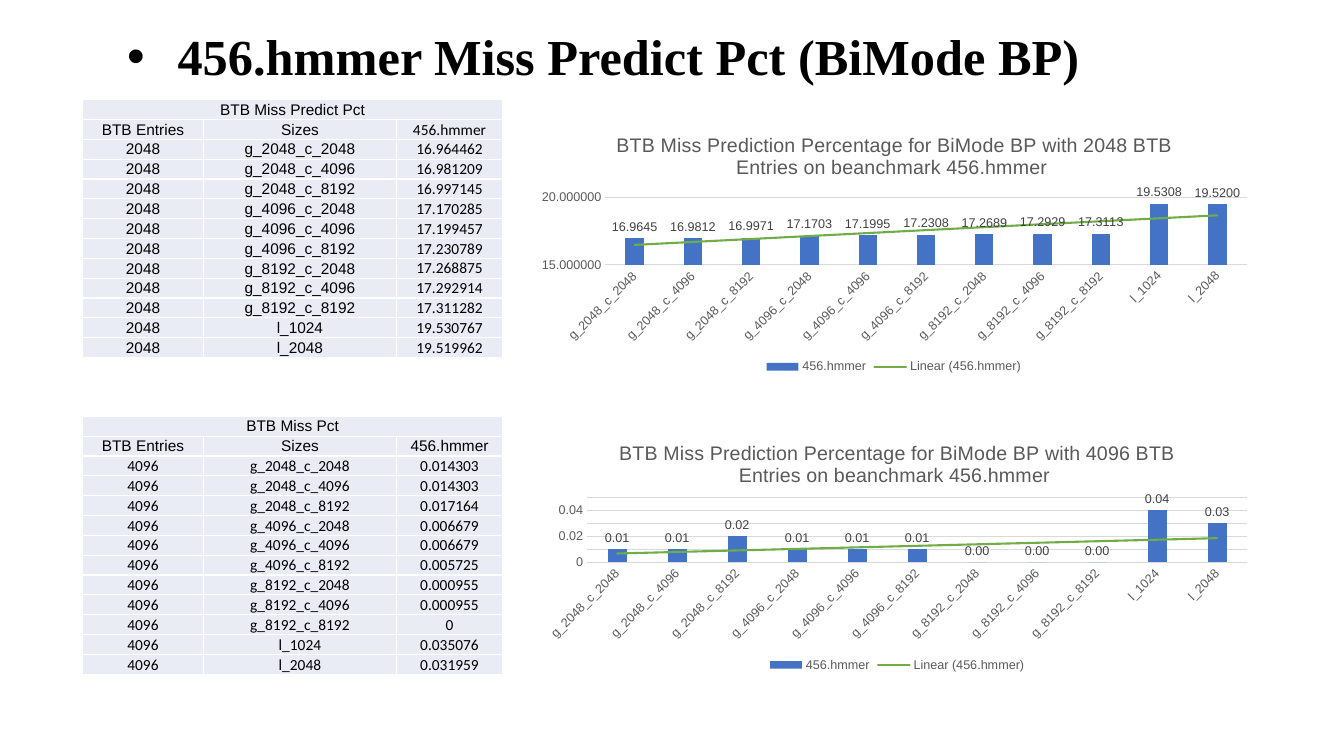
from dataclasses import dataclass

from pptx import Presentation, oxml
from pptx import util as u
from pptx.chart.chart import Chart
from pptx.chart.data import CategoryChartData
from pptx.dml import color
from pptx.enum import chart as ch
from pptx.enum import text as tx
from pptx.oxml.ns import nsdecls

BLACK, GREY, LABEL_GREY, GRID_GREY = "000000", "595959", "404040", "D9D9D9"
BAR_BLUE, TREND_GREEN, CELL_FILL, WHITE = "4472C4", "70AD47", "E9EBF5", "FFFFFF"
BENCHMARK = "456.hmmer"
SIZES = [f"g_{g}_c_{c}" for g in (2048, 4096, 8192) for c in (2048, 4096, 8192)]
SIZES += ["l_1024", "l_2048"]
COLUMN_WIDTHS = (3.05, 4.86, 2.68)
ROW_HEIGHT = 0.5


@dataclass
class Box:
    left: float
    top: float
    width: float
    height: float

    def cm(self) -> tuple:
        return tuple(u.Cm(v) for v in (self.left, self.top, self.width, self.height))


@dataclass
class Experiment:
    """One BTB size: its table of miss percentages and the chart beside it."""
    entries: int
    heading: str
    misses: list[float]
    table_top: float
    header_fonts: tuple[str, str, str]
    body_fonts: tuple[str, str, str]
    chart_box: Box
    plot_box: Box  # percent of the chart
    title_corner: tuple[float, float]  # percent of the chart
    axis_range: tuple[float, float, float]  # minimum, maximum, step
    axis_format: str
    decimals: int  # of the chart values


EXPERIMENTS = [
    Experiment(
        2048, "BTB Miss Predict Pct",
        [16.964462, 16.981209, 16.997145, 17.170285, 17.199457, 17.230789,
         17.268875, 17.292914, 17.311282, 19.530767, 19.519962],
        2.51, ("Arial", "Arial", "Calibri"), ("Arial", "Arial", "Calibri"),
        Box(13.28, 3, 18.49, 6.53), Box(10.7, 30.4, 87.4, 25.9), (11.7, 3.8),
        (15, 20, 5), "0.000000", 4),
    Experiment(
        4096, "BTB Miss Pct",
        [0.014303, 0.014303, 0.017164, 0.006679, 0.006679, 0.005725,
         0.000955, 0.000955, 0, 0.035076, 0.031959],
        10.49, ("Arial",) * 3, ("Calibri",) * 3,
        Box(13.44, 10.74, 18.34, 6.3), Box(7.4, 28.5, 90.7, 26), (11.3, 4.3),
        (0, 0.05, 0.01), "General", 2),
]


def rgb(value: str) -> color.RGBColor:
    return color.RGBColor.from_string(value)


def style_font(font, name: str, size: float, hex_color: str, bold: bool = False) -> None:
    font.name, font.size, font.bold = name, u.Pt(size), bold
    font.color.rgb = rgb(hex_color)


def style_line(line, hex_color: str, width: float) -> None:
    line.color.rgb = rgb(hex_color)
    line.width = u.Pt(width)


def add_title(slide, wording: str) -> None:
    title = slide.shapes.title
    title.left, title.top, title.width, title.height = Box(2.95, 0.48, 24.69, 1.83).cm()
    frame = title.text_frame
    frame.text = wording
    frame.auto_size = tx.MSO_AUTO_SIZE.NONE
    frame.vertical_anchor = tx.MSO_ANCHOR.BOTTOM
    paragraph = frame.paragraphs[0]
    paragraph.alignment = tx.PP_ALIGN.LEFT
    paragraph.line_spacing = 0.9
    style_font(paragraph.runs[0].font, "Times New Roman", 36, BLACK, True)
    # Bullet with a hanging indent
    properties = paragraph._p.get_or_add_pPr()
    properties.set("marL", str(u.Cm(1.27)))
    properties.set("indent", str(-u.Cm(1.27)))
    for bullet in ('buFont {} typeface="Arial"', 'buChar {} char="•"'):
        properties.append(oxml.parse_xml(f"<a:{bullet.format(nsdecls('a'))}/>"))


def fill_cell(cell, wording: str, font_name: str) -> None:
    cell.text_frame.text = wording
    cell.vertical_anchor = tx.MSO_ANCHOR.MIDDLE
    cell.margin_left = cell.margin_right = cell.margin_top = u.Cm(0.02)
    cell.margin_bottom = 0
    paragraph = cell.text_frame.paragraphs[0]
    paragraph.alignment = tx.PP_ALIGN.CENTER
    style_font(paragraph.font, font_name, 11, BLACK)
    for run in paragraph.runs:
        style_font(run.font, font_name, 11, BLACK)
    # Borders come before the fill
    properties = cell._tc.get_or_add_tcPr()
    for side in "LRTB":
        properties.append(oxml.parse_xml(
            f'<a:ln{side} {nsdecls("a")} w="{u.Pt(1)}"><a:solidFill>'
            f'<a:srgbClr val="{WHITE}"/></a:solidFill></a:ln{side}>'))
    cell.fill.solid()
    cell.fill.fore_color.rgb = rgb(CELL_FILL)


def add_miss_table(slide, run: Experiment) -> None:
    rows = [(run.heading, "", ""), ("BTB Entries", "Sizes", BENCHMARK)]
    rows += [(str(run.entries), size, str(miss)) for size, miss in zip(SIZES, run.misses)]
    box = Box(2.08, run.table_top, sum(COLUMN_WIDTHS), ROW_HEIGHT * len(rows))
    table = slide.shapes.add_table(len(rows), len(COLUMN_WIDTHS), *box.cm()).table
    for column, width in zip(table.columns, COLUMN_WIDTHS):
        column.width = u.Cm(width)
    for r, row in enumerate(rows):
        table.rows[r].height = u.Cm(ROW_HEIGHT)
        fonts = run.header_fonts if r < 2 else run.body_fonts
        for c, wording in enumerate(row):
            fill_cell(table.cell(r, c), wording, fonts[c])
    table.cell(0, 0).merge(table.cell(0, 2))


def manual_layout(percents: dict, target: str = ""):
    inner = f'<c:layoutTarget val="{target}"/>' if target else ""
    inner += "".join(f'<c:{key}Mode val="edge"/>' for key in "xy")
    inner += "".join(f'<c:{key} val="{value / 100:.3f}"/>' for key, value in percents.items())
    return oxml.parse_xml(f'<c:layout {nsdecls("c")}><c:manualLayout>{inner}'
                          '</c:manualLayout></c:layout>')


def place_chart_parts(chart: Chart, run: Experiment) -> None:
    root = chart.element
    for layout in root.xpath(".//c:title/c:layout | .//c:plotArea/c:layout"):
        layout.getparent().remove(layout)
    plot = run.plot_box
    root.xpath(".//c:plotArea")[0].insert(0, manual_layout(
        {"x": plot.left, "y": plot.top, "w": plot.width, "h": plot.height}, "inner"))
    x, y = run.title_corner
    root.xpath("./c:chart/c:title/c:tx")[0].addnext(manual_layout({"x": x, "y": y}))
    root.xpath(".//c:catAx/c:txPr/a:bodyPr")[0].set("rot", str(-45 * 60000))


def add_trend(chart: Chart) -> None:
    chart.element.xpath(".//c:ser/c:cat")[0].addprevious(oxml.parse_xml(
        f'<c:trendline {nsdecls("c", "a")}><c:spPr><a:ln w="{u.Pt(1.5)}" cap="rnd">'
        f'<a:solidFill><a:srgbClr val="{TREND_GREEN}"/></a:solidFill></a:ln></c:spPr>'
        '<c:trendlineType val="linear"/><c:dispRSqr val="0"/><c:dispEq val="0"/>'
        '</c:trendline>'))


def add_miss_chart(slide, run: Experiment) -> None:
    data = CategoryChartData()
    data.categories = SIZES
    data.add_series(BENCHMARK, [round(miss, run.decimals) for miss in run.misses])
    chart = slide.shapes.add_chart(
        ch.XL_CHART_TYPE.COLUMN_CLUSTERED, *run.chart_box.cm(), data).chart
    style_font(chart.font, "Arial", 10, BLACK)

    # Title and legend
    heading = chart.chart_title.text_frame
    heading.text = (f"BTB Miss Prediction Percentage for BiMode BP with {run.entries} "
                    f"BTB Entries on beanchmark {BENCHMARK} ")
    style_font(heading.paragraphs[0].runs[0].font, "Arial", 14, GREY)
    chart.has_legend = True
    chart.legend.position = ch.XL_LEGEND_POSITION.BOTTOM
    chart.legend.include_in_layout = False
    style_font(chart.legend.font, "Arial", 9, GREY)

    # Axes
    sizes_axis, miss_axis = chart.category_axis, chart.value_axis
    for axis in (sizes_axis, miss_axis):
        axis.major_tick_mark = axis.minor_tick_mark = ch.XL_TICK_MARK.NONE
        style_font(axis.tick_labels.font, "Arial", 9, GREY)
    style_line(sizes_axis.format.line, GRID_GREY, 0.75)
    miss_axis.format.line.fill.background()
    style_line(miss_axis.major_gridlines.format.line, GRID_GREY, 0.75)
    miss_axis.minimum_scale, miss_axis.maximum_scale, miss_axis.major_unit = run.axis_range
    miss_axis.tick_labels.number_format = run.axis_format
    miss_axis.tick_labels.number_format_is_linked = False

    # Bars, value labels and trend line
    bars = chart.plots[0]
    bars.vary_by_categories = False
    bars.gap_width, bars.overlap = 219, -27
    misses = bars.series[0]
    misses.format.fill.solid()
    misses.format.fill.fore_color.rgb = rgb(BAR_BLUE)
    labels = misses.data_labels
    labels.show_value = True
    labels.number_format = "#,##0." + "0" * run.decimals
    labels.number_format_is_linked = False
    labels.position = ch.XL_LABEL_POSITION.OUTSIDE_END
    style_font(labels.font, "Arial", 9, LABEL_GREY)
    add_trend(chart)
    place_chart_parts(chart, run)


def main() -> None:
    deck = Presentation()
    deck.slide_width, deck.slide_height = u.Cm(33.87), u.Cm(19.05)
    slide = deck.slides.add_slide(deck.slide_layouts[5])
    add_title(slide, f"{BENCHMARK} Miss Predict Pct (BiMode BP)")
    for run in EXPERIMENTS:
        add_miss_table(slide, run)
        add_miss_chart(slide, run)
    deck.save("out.pptx")


if __name__ == "__main__":
    main()
